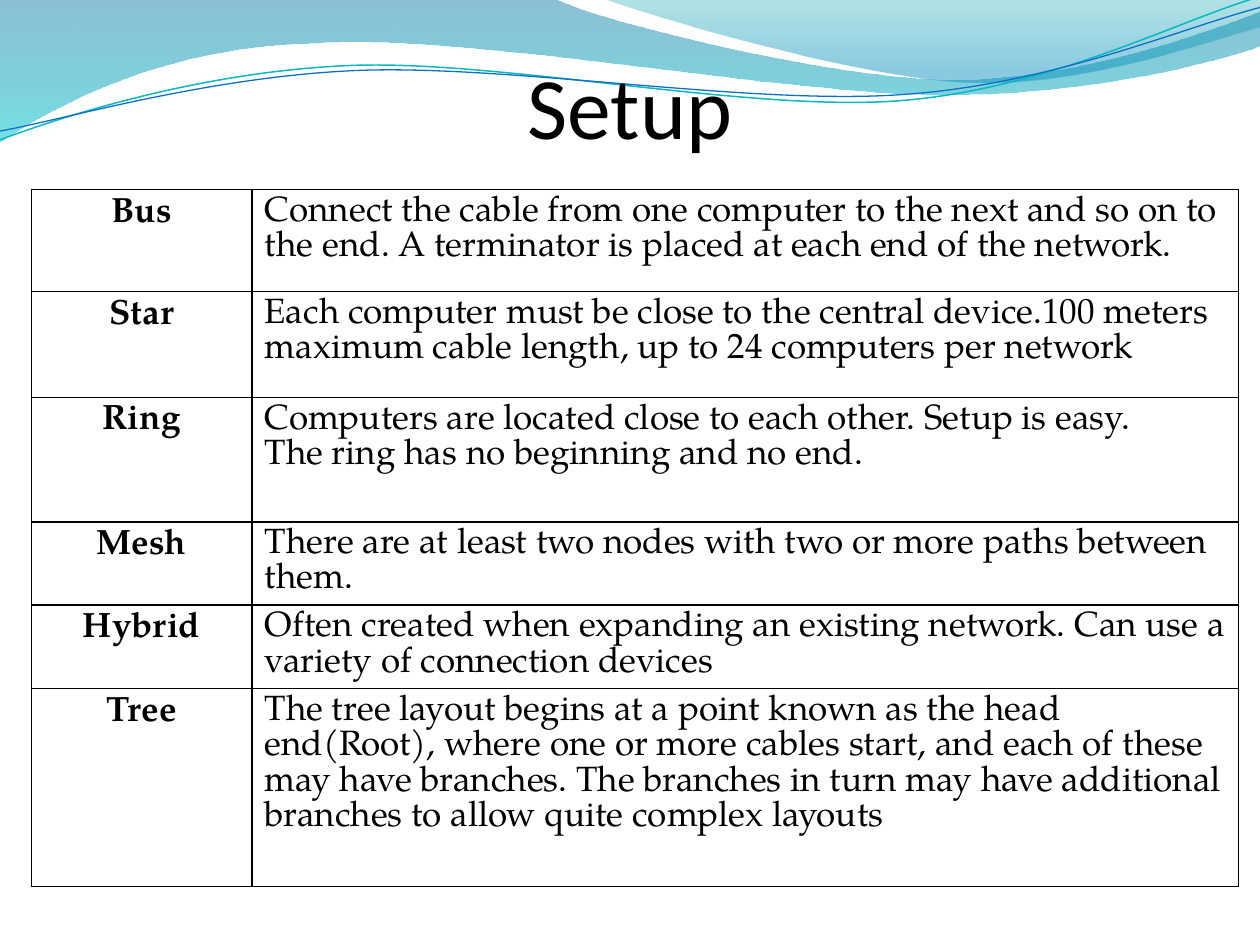
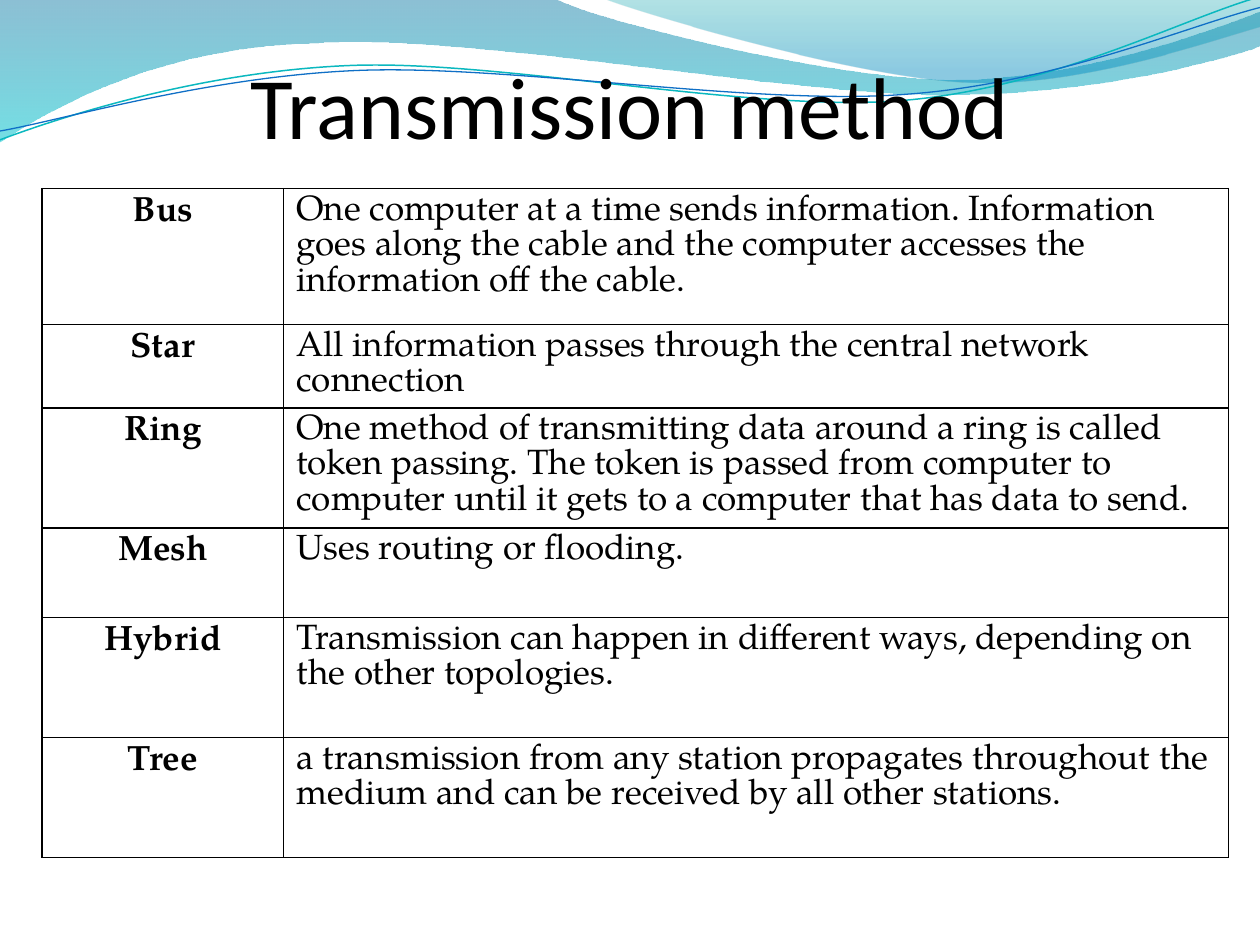
from math import cos, radians, sin
from lxml import etree
from pptx import Presentation, util as u
from pptx.dml.color import RGBColor
from pptx.enum import text
from pptx.oxml.ns import qn, nsdecls

INK = "000000"
HEAD, BODY = "Calibri", "TeX Gyre Pagella"

# Tables: title, corner, column widths, then (height, name, paragraphs); all in cm
SLIDES = [
    ("Setup", (0.63, 3.82), (4.45, 19.89), [
        (2.06, "Bus", ["Connect the cable from one computer to the next and so on to the end. "
                       "A terminator is placed at each end of the network."]),
        (2.13, "Star", ["Each computer must be close to the central device.100 meters "
                        "maximum cable length, up to 24 computers per network"]),
        (2.51, "Ring", ["Computers are located close to each other. Setup is easy.",
                        "The ring has no beginning and no end."]),
        (1.24, "Mesh", ["There are at least two nodes with two or more paths between them."]),
        (1.24, "Hybrid", ["Often created when expanding an existing network. "
                          "Can use a variety of connection devices"]),
        (3.99, "Tree", ["The tree layout begins at a point known as the head end(Root), "
                        "where one or more cables start, and each of these may have branches. "
                        "The branches in turn may have additional branches to allow "
                        "quite complex layouts"]),
    ]),
    ("Transmission method", (0.85, 3.8), (4.87, 19.05), [
        (2.74, "Bus", ["One computer at a time sends information. Information goes along "
                       "the cable and the computer accesses the information off the cable."]),
        (1.45, "Star", ["All information passes through the central network connection"]),
        (2.42, "Ring", ["One method of transmitting data around a ring is called token "
                        "passing. The token is passed from computer to computer until it "
                        "gets to a computer that has data to send."]),
        (1.81, "Mesh", ["Uses routing or flooding."]),
        (2.42, "Hybrid", ["Transmission can happen in different ways, "
                          "depending on the other topologies."]),
        (2.42, "Tree", ["a transmission from any station propagates throughout the medium "
                        "and can be received by all other stations."]),
    ]),
]

# Outlines in inches: a pair is a line end, six numbers are a Bezier segment
BANDS = [
    ([(0, 0), (4.4, -0.01), (4.76, 0.17, 6.64, 0.63, 7.58, 0.63),
      (8.53, 0.63, 9.58, 0.26, 10, 0.09), (10.01, 0.36),
      (9.83, 0.44, 8.7, 0.76, 7.46, 0.75), (6.22, 0.75, 3.82, 0.28, 2.57, 0.34),
      (1.29, 0.36, 0.46, 0.83, -0.01, 1.13), (0, 0)],
     [(0, "0074A1", 45), (100, "00C6CF", 55)]),
    ([(4.79, -0.01), (5.09, 0.11, 6.82, 0.62, 7.69, 0.65),
      (8.56, 0.69, 9.61, 0.32, 10, 0.21), (10, 0), (4.79, -0.01)],
     [(0, "00A1A9", 30), (80, "008BBF", 45)]),
]
# Waves also have a centre, about which they are turned
WAVES = [
    ([(0, 1.11), (0.48, 0.93, 1.58, 0.57, 2.77, 0.52),
      (3.95, 0.47, 5.93, 0.89, 7.13, 0.8), (8.33, 0.71, 9.38, 0.15, 9.98, -0.02)],
     (4.99, 0.57), "0AB8BF", 0.85),
    ([(0, 1.04), (0.47, 0.96, 1.64, 0.61, 2.83, 0.56),
      (4.03, 0.51, 5.97, 0.84, 7.17, 0.75), (8.36, 0.67, 9.41, 0.21, 10, 0.06)],
     (5, 0.59), "0F6FC6", 0.75),
]
TURN = 357.3


def color(code):
    return RGBColor.from_string(code)


def unturn(parts, mid):
    """Turn points back, so that the shape's rotation puts them in place."""
    c, s = cos(radians(-TURN)), sin(radians(-TURN))
    flat = []
    for part in parts:
        nums = []
        for x, y in zip(part[::2], part[1::2]):
            dx, dy = x - mid[0], y - mid[1]
            nums += [mid[0] + dx * c - dy * s, mid[1] + dx * s + dy * c]
        flat.append(nums)
    return flat


def outline(slide, parts, close):
    """Build a freeform, then join each three points of a Bezier segment."""
    pts = [(u.Cm(2.54 * x), u.Cm(2.54 * y))
           for part in parts for x, y in zip(part[::2], part[1::2])]
    form = slide.shapes.build_freeform(*pts[0], scale=1.0)
    form.add_line_segments(pts[1:], close=close)
    shape = form.convert_to_shape()
    lines = list(shape.element.iter(qn("a:lnTo")))
    for part in parts[1:]:
        first = lines.pop(0)
        if len(part) == 6:
            curve = etree.Element(qn("a:cubicBezTo"))
            first.addprevious(curve)
            for line in (first, lines.pop(0), lines.pop(0)):
                curve.append(line[0])
                line.getparent().remove(line)
    shape.shadow.inherit = False
    shape.fill.background()
    return shape


def shade(shape, stops):
    """Fill a shape with a see-through gradient from top to bottom."""
    marks = "".join(f'<a:gs pos="{pos * 1000}"><a:srgbClr val="{code}">'
                    f'<a:alpha val="{alpha * 1000}"/></a:srgbClr></a:gs>'
                    for pos, code, alpha in stops)
    props = shape.element.spPr
    props.replace(props.find(qn("a:noFill")), etree.fromstring(
        f'<a:gradFill {nsdecls("a")} rotWithShape="1"><a:gsLst>{marks}</a:gsLst>'
        '<a:lin ang="5400000" scaled="0"/></a:gradFill>'))


def decorate(slide):
    """Draw the waves and move them to the master that all slides share."""
    shapes = []
    for parts, stops in BANDS:
        band = outline(slide, parts, True)
        shade(band, stops)
        band.line.fill.background()
        shapes.append(band)
    for parts, mid, code, width in WAVES:
        wave = outline(slide, unturn(parts, mid), False)
        wave.rotation = TURN
        wave.line.color.rgb = color(code)
        wave.line.width = u.Pt(width)
        shapes.append(wave)
    tree = slide.slide_layout.slide_master.shapes.element
    for i, shape in enumerate(shapes):
        tree.insert(2 + i, shape.element)


def write(para, words, size, face, bold=False):
    run = para.add_run()
    run.text = words
    font = run.font
    font.size, font.name, font.bold = u.Pt(size), face, bold
    font.color.rgb = color(INK)


def add_title(slide, words):
    title = slide.shapes.title
    title.left, title.top, title.width, title.height = map(u.Cm, (1.27, 0, 22.86, 3.17))
    frame = title.text_frame
    frame.auto_size = text.MSO_AUTO_SIZE.NONE
    frame.vertical_anchor = text.MSO_ANCHOR.BOTTOM
    frame.margin_left = frame.margin_right = frame.margin_bottom = 0
    frame.margin_top = u.Cm(0.13)
    para = frame.paragraphs[0]
    para.alignment = text.PP_ALIGN.CENTER
    write(para, words, 50, HEAD)


def fill_cell(cell, lines, head):
    frame = cell.text_frame
    for i, line in enumerate(lines):
        para = frame.add_paragraph() if i else frame.paragraphs[0]
        para.alignment = text.PP_ALIGN.CENTER if head else text.PP_ALIGN.LEFT
        para.line_spacing = u.Pt(20.2)
        write(para, line, 20, BODY, head)
    cell.fill.background()
    props = cell._tc.get_or_add_tcPr()
    for i, side in enumerate("LRTB"):
        props.insert(i, etree.fromstring(
            f'<a:ln{side} {nsdecls("a")} w="12700"><a:solidFill>'
            f'<a:srgbClr val="{INK}"/></a:solidFill></a:ln{side}>'))


def add_grid(slide, corner, widths, rows):
    high = sum(row[0] for row in rows)
    size = map(u.Cm, (*corner, sum(widths), high))
    grid = slide.shapes.add_table(len(rows), len(widths), *size).table
    grid.first_row = grid.horz_banding = False
    for col, width in zip(grid.columns, widths):
        col.width = u.Cm(width)
    for i, (height, name, lines) in enumerate(rows):
        grid.rows[i].height = u.Cm(height)
        fill_cell(grid.cell(i, 0), [name], True)
        fill_cell(grid.cell(i, 1), lines, False)


def main():
    deck = Presentation()
    deck.slide_width, deck.slide_height = u.Cm(25.4), u.Cm(19.05)
    for i, (title, corner, widths, rows) in enumerate(SLIDES):
        slide = deck.slides.add_slide(deck.slide_layouts[5])
        if i == 0:
            decorate(slide)
        add_title(slide, title)
        add_grid(slide, corner, widths, rows)
    deck.save("out.pptx")


if __name__ == "__main__":
    main()
